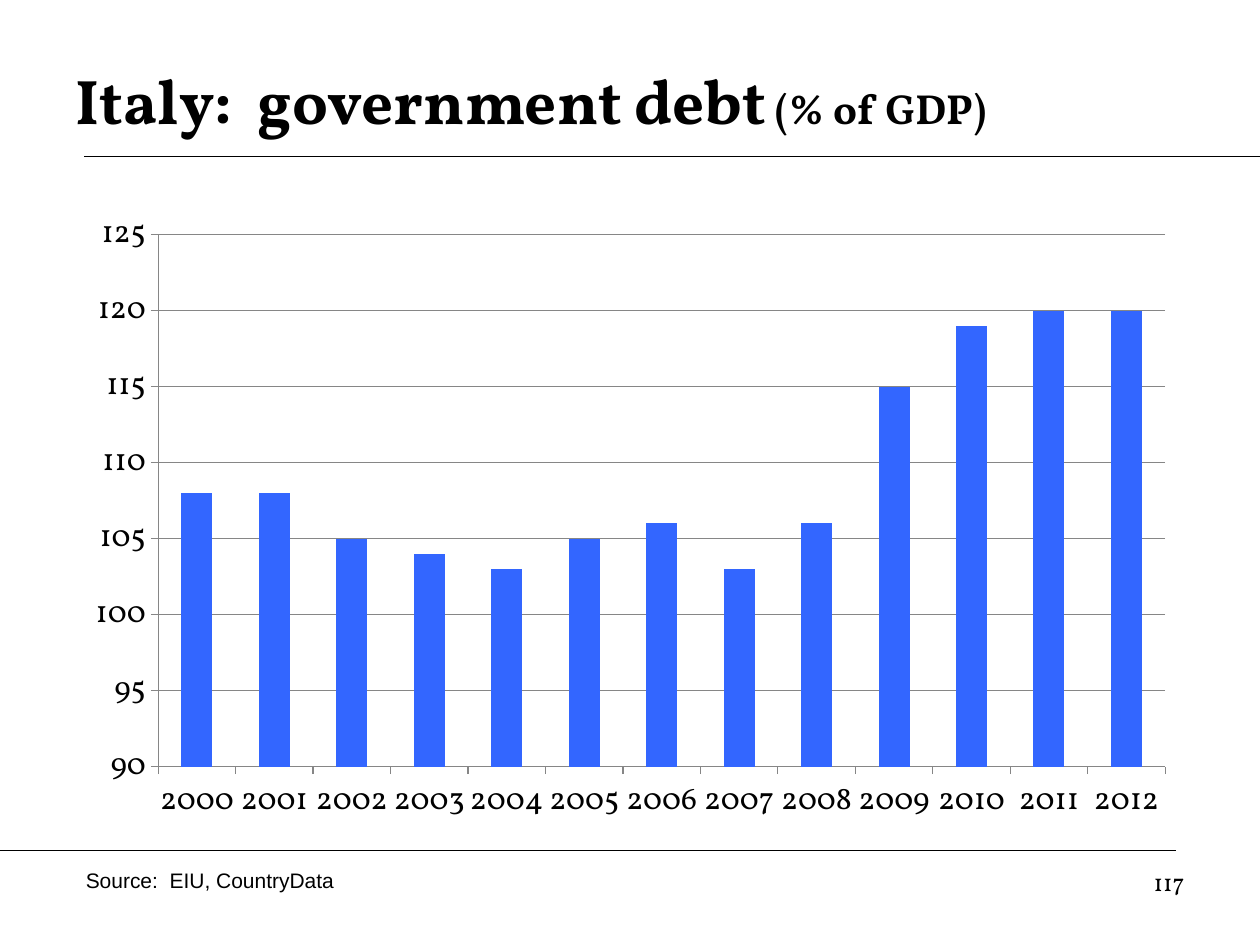
import pptx
import pptx.chart.data
import pptx.dml.color
import pptx.enum.chart
import pptx.enum.shapes
import pptx.enum.text
import pptx.oxml
import pptx.oxml.ns
import pptx.util
from lxml import etree

Cm = pptx.util.Cm
SLIDE_WIDTH, SLIDE_HEIGHT = 25.4, 19.05
SERIF, SANS = "Vollkorn", "Arial"
BLACK, BLUE, GREY = "000000", "3366FF", "868686"

DEBT = {
    "2000": 108, "2001": 108, "2002": 105, "2003": 104, "2004": 103,
    "2005": 105, "2006": 106, "2007": 103, "2008": 106, "2009": 115,
    "2010": 119, "2011": 120, "2012": 120,
}


def color(hex_string):
    return pptx.dml.color.RGBColor.from_string(hex_string)


def format_font(font, size, name=SERIF, bold=False):
    font.name = name
    font.size = pptx.util.Pt(size)
    font.bold = bold
    font.color.rgb = color(BLACK)


def write_text(shape, runs, name=SERIF, bold=False, align="LEFT", anchor="TOP"):
    """Fill a shape with one paragraph of (text, size) runs."""
    frame = shape.text_frame
    frame.word_wrap = True
    frame.vertical_anchor = getattr(pptx.enum.text.MSO_ANCHOR, anchor)
    paragraph = frame.paragraphs[0]
    paragraph.alignment = getattr(pptx.enum.text.PP_ALIGN, align)
    for text, size in runs:
        run = paragraph.add_run()
        run.text = text
        format_font(run.font, size, name, bold)


def add_rule(slide, left, right, top):
    line = slide.shapes.add_connector(
        pptx.enum.shapes.MSO_CONNECTOR.STRAIGHT,
        Cm(left), Cm(top), Cm(right), Cm(top))
    line.line.color.rgb = color(BLACK)
    line.line.width = pptx.util.Pt(0.75)
    etree.SubElement(line._element.spPr, pptx.oxml.ns.qn("a:effectLst"))


def add_title(slide, left, top, width, height):
    title = slide.shapes.title
    title.left, title.top = Cm(left), Cm(top)
    title.width, title.height = Cm(width), Cm(height)
    write_text(title, [("Italy:  government debt", 36), (" (% of GDP)", 24)],
               bold=True, anchor="MIDDLE")
    add_rule(slide, left + 0.43, SLIDE_WIDTH, top + height)


def add_footer(slide, left, top, width, height):
    add_rule(slide, 0, 23.7, top - 0.2)
    source_width, number_width = 12.27, 5.92
    source = slide.shapes.add_textbox(
        Cm(left), Cm(top + 0.02), Cm(source_width), Cm(0.76))
    write_text(source, [("Source:  EIU, CountryData", 12)], name=SANS)
    number = slide.shapes.add_textbox(
        Cm(left + width - number_width), Cm(top), Cm(number_width), Cm(height))
    write_text(number, [("117", 14)], align="RIGHT")


def set_plot_area(chart, **fractions):
    """Fix the inner plot area as fractions (x, y, w, h) of the chart."""
    plot_area = chart._chartSpace.chart.plotArea
    for old in plot_area.findall(pptx.oxml.ns.qn("c:layout")):
        plot_area.remove(old)
    values = "".join(f'<c:{key} val="{value}"/>' for key, value in fractions.items())
    plot_area.insert(0, pptx.oxml.parse_xml(
        f'<c:layout {pptx.oxml.ns.nsdecls("c")}><c:manualLayout>'
        '<c:layoutTarget val="inner"/><c:xMode val="edge"/><c:yMode val="edge"/>'
        f'{values}</c:manualLayout></c:layout>'))


def format_axis(axis):
    axis.format.line.color.rgb = color(GREY)
    axis.format.line.width = pptx.util.Pt(0.75)
    axis.major_tick_mark = pptx.enum.chart.XL_TICK_MARK.OUTSIDE
    axis.minor_tick_mark = pptx.enum.chart.XL_TICK_MARK.NONE
    format_font(axis.tick_labels.font, 18)


def add_debt_chart(slide, left, top, width, height):
    data = pptx.chart.data.CategoryChartData(number_format="0")
    data.categories = list(DEBT)
    data.add_series("Series 1", list(DEBT.values()))
    chart = slide.shapes.add_chart(
        pptx.enum.chart.XL_CHART_TYPE.COLUMN_CLUSTERED,
        Cm(left), Cm(top), Cm(width), Cm(height), data).chart
    chart.has_legend = False
    chart.has_title = False
    format_font(chart.font, 18)
    set_plot_area(chart, x=1.71 / width, y=0.71 / height,
                  w=20.3 / width, h=10.73 / height)

    plot = chart.plots[0]
    plot.vary_by_categories = False
    plot.gap_width = 150
    fill = plot.series[0].format.fill
    fill.solid()
    fill.fore_color.rgb = color(BLUE)

    format_axis(chart.category_axis)
    value_axis = chart.value_axis
    format_axis(value_axis)
    value_axis.minimum_scale, value_axis.maximum_scale = 90, 125
    value_axis.major_unit = 5
    value_axis.has_major_gridlines = True
    gridline = value_axis.major_gridlines.format.line
    gridline.color.rgb = color(GREY)
    gridline.width = pptx.util.Pt(0.75)


def main():
    presentation = pptx.Presentation()
    presentation.slide_width = Cm(SLIDE_WIDTH)
    presentation.slide_height = Cm(SLIDE_HEIGHT)
    title_only = presentation.slide_layouts.get_by_name("Title Only")
    slide = presentation.slides.add_slide(title_only)
    add_title(slide, 1.27, 0.83, 22.86, 2.33)
    add_debt_chart(slide, 1.48, 4.02, 22.43, 12.85)
    add_footer(slide, 1.48, 17.35, 22.65, 1.32)
    presentation.save("out.pptx")


if __name__ == "__main__":
    main()
